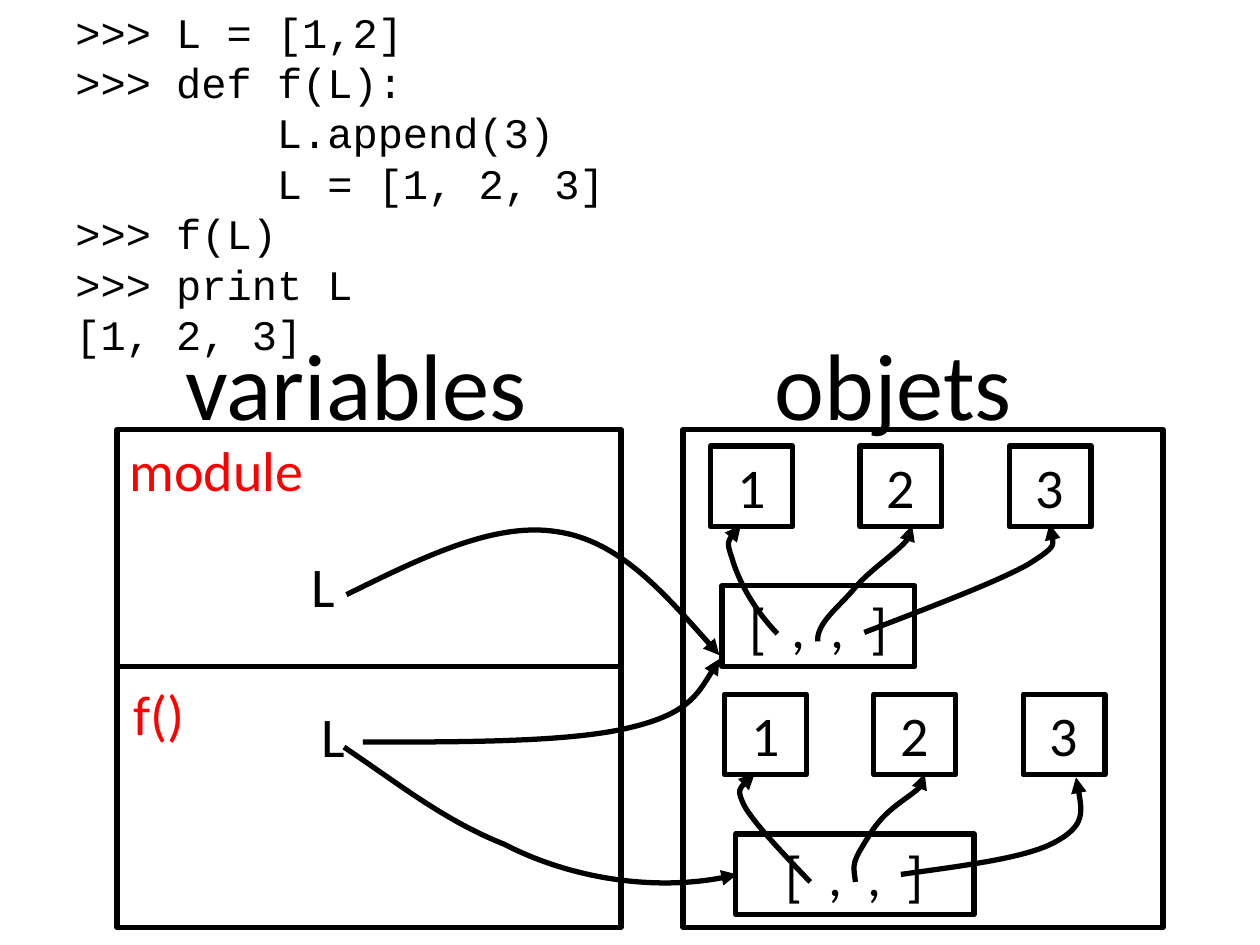
from dataclasses import dataclass

from lxml import etree
from pptx import Presentation
from pptx.dml.color import RGBColor
from pptx.enum import shapes, text
from pptx.oxml.ns import qn
from pptx.util import Emu, Inches, Pt

COLUMNS = 100
BLACK, RED, WHITE = "000000", "FF0000", "FFFFFF"
STROKE = 3


@dataclass(frozen=True)
class Label:
    words: str
    x: float
    y: float
    w: float
    h: float
    size: int = 32
    color: str = BLACK


@dataclass(frozen=True)
class Box:
    x: float
    y: float
    w: float
    h: float
    words: str = ""
    fill: str = ""


@dataclass(frozen=True)
class Cluster:
    x: float
    y: float
    list_w: float
    list_fill: str = ""


FRAMES = [Box(54.2, 34.1, 38.1, 39.5), Box(9.3, 34.1, 40, 39.5)]
LABELS = [
    Label("objets", 60.5, 25.4, 37.8, 10.1, 54),
    Label("variables", 13.7, 25.4, 37.8, 10.1, 54),
    Label("module", 9.3, 34.1, 21.1, 6.4, color=RED),
    Label("f()", 9.6, 53.4, 21.1, 6.4, color=RED),
    Label("L", 23.7, 43.3, 5.9, 6.4),
    Label("L", 24.5, 55.2, 5.9, 6.4),
]
CODE = [
    (">>> L = [1,2]", 0),
    (">>> def f(L):", 0),
    ("L.append(3)", 16),
    ("L = [1, 2, 3]", 16),
    (">>> f(L)", 0),
    (">>> print L", 0),
    ("[1, 2, 3]", 0),
]
CLUSTERS = [Cluster(57.5, 55.1, 18.9), Cluster(56.4, 35.4, 15.3, WHITE)]
ITEM_STEP, ITEM_W, ITEM_H = 11.85, 6.5, 6.4
LIST_DX, LIST_DY = 0.9, 11.1
ARROWS = [
    [(64.3, 70), (62.1, 67.7), (59.9, 65.4), (59.1, 64), (58.4, 62.6), (59.1, 62), (59.9, 61.4)],
    [(67.9, 70), (67.7, 68.5), (67.6, 68.5), (69, 66.3), (70.3, 64.1), (74.2, 62.3), (73.4, 61.4)],
    [(71.5, 69.4), (76.5, 68.7), (81.5, 68.1), (83.8, 66.8), (86.2, 65.5), (85.8, 63.6), (85.4, 61.7)],
    [(27.3, 59.3), (31.5, 62.1), (35.2, 65.1), (40, 67), (45.2, 69.7), (52.7, 70.9), (58.5, 69.4)],
    [(64.9, 50.9), (64.8, 49.4), (66.7, 48.1), (67.9, 46.6), (69.2, 45.1), (73.1, 42.6), (72.4, 41.7)],
    [(61.7, 50.3), (59.5, 48), (58.5, 45.7), (58.1, 44.3), (57.6, 42.9), (58.1, 42.3), (58.8, 41.7)],
    [(27.5, 47.2), (33.4, 44.3), (39.2, 41.4), (44.2, 42.2), (49.1, 42.9), (53.1, 47.5), (57.1, 52)],
    [(68.6, 50.2), (73.8, 48.2), (79.1, 46.2), (81.6, 44.8), (84, 43.3), (83.7, 42.5), (83.3, 41.6)],
    [(28.8, 58.9), (36.9, 58.9), (45.1, 58.9), (49.8, 57.8), (54.6, 56.7), (55.8, 54.5), (57.1, 52.3)],
]

prs = Presentation()
prs.slide_width, prs.slide_height = Inches(10), Inches(7.5)
CELL = prs.slide_width // COLUMNS


def grid(*cells: float) -> list[Emu]:
    return [Emu(round(c * CELL)) for c in cells]


def rgb(color: str) -> RGBColor:
    return RGBColor.from_string(color)


def style(p, size: int, color: str, name: str = "Calibri") -> None:
    p.font.name, p.font.size = name, Pt(size)
    p.font.color.rgb = rgb(color)


def outline(line) -> None:
    line.color.rgb = rgb(BLACK)
    line.width = Pt(STROKE)


def draw_label(s, label: Label) -> None:
    tf = s.shapes.add_textbox(*grid(label.x, label.y, label.w, label.h)).text_frame
    tf.word_wrap = True
    p = tf.paragraphs[0]
    p.text = label.words
    style(p, label.size, label.color)


def draw_code(s, lines: list[tuple[str, int]]) -> None:
    tf = s.shapes.add_textbox(*grid(5, 0, 59, 33.3)).text_frame
    tf.word_wrap = True
    for i, (words, indent) in enumerate(lines):
        p = tf.add_paragraph() if i else tf.paragraphs[0]
        p.text = words
        style(p, 24, BLACK, "Courier New")
        if indent:
            p._p.get_or_add_pPr().set("marL", str(grid(indent)[0]))


def draw_box(s, box: Box) -> None:
    sp = s.shapes.add_shape(shapes.MSO_SHAPE.RECTANGLE, *grid(box.x, box.y, box.w, box.h))
    sp.shadow.inherit = False
    outline(sp.line)
    if box.fill:
        sp.fill.solid()
        sp.fill.fore_color.rgb = rgb(box.fill)
    else:
        sp.fill.background()
    if box.words:
        tf = sp.text_frame
        tf.vertical_anchor = text.MSO_ANCHOR.MIDDLE
        p = tf.paragraphs[0]
        p.text = box.words
        p.alignment = text.PP_ALIGN.CENTER
        style(p, 32, BLACK)


def draw_cluster(s, c: Cluster) -> None:
    for i in range(3):
        draw_box(s, Box(c.x + i * ITEM_STEP, c.y, ITEM_W, ITEM_H, str(i + 1)))
    draw_box(s, Box(c.x + LIST_DX, c.y + LIST_DY, c.list_w, ITEM_H, "[  ,  ,  ]", c.list_fill))


def draw_divider(s, x1: float, x2: float, y: float) -> None:
    line = s.shapes.add_connector(shapes.MSO_CONNECTOR.STRAIGHT, *grid(x1, y, x2, y))
    outline(line.line)
    etree.SubElement(line._element.spPr, qn("a:effectLst"))


def draw_arrow(s, points: list[tuple[float, float]]) -> None:
    start, *rest = [grid(*pt) for pt in points]
    builder = s.shapes.build_freeform(*start)
    builder.add_line_segments(rest, close=False)
    sp = builder.convert_to_shape()
    sp.shadow.inherit = False
    sp.fill.background()
    outline(sp.line)
    etree.SubElement(sp.line._get_or_add_ln(), qn("a:tailEnd"), type="triangle")
    path = next(sp._element.iter(qn("a:path")))
    segments = path.findall(qn("a:lnTo"))
    for i in range(0, len(segments), 3):
        curve = etree.SubElement(path, qn("a:cubicBezTo"))
        for segment in segments[i:i + 3]:
            curve.append(segment[0])
            path.remove(segment)


def main() -> None:
    s = prs.slides.add_slide(prs.slide_layouts[6])
    draw_code(s, CODE)
    for frame in FRAMES:
        draw_box(s, frame)
    draw_divider(s, 9.3, 49.3, 52.9)
    for label in LABELS:
        draw_label(s, label)
    for cluster in CLUSTERS:
        draw_cluster(s, cluster)
    for points in ARROWS:
        draw_arrow(s, points)
    prs.save("out.pptx")


if __name__ == "__main__":
    main()
